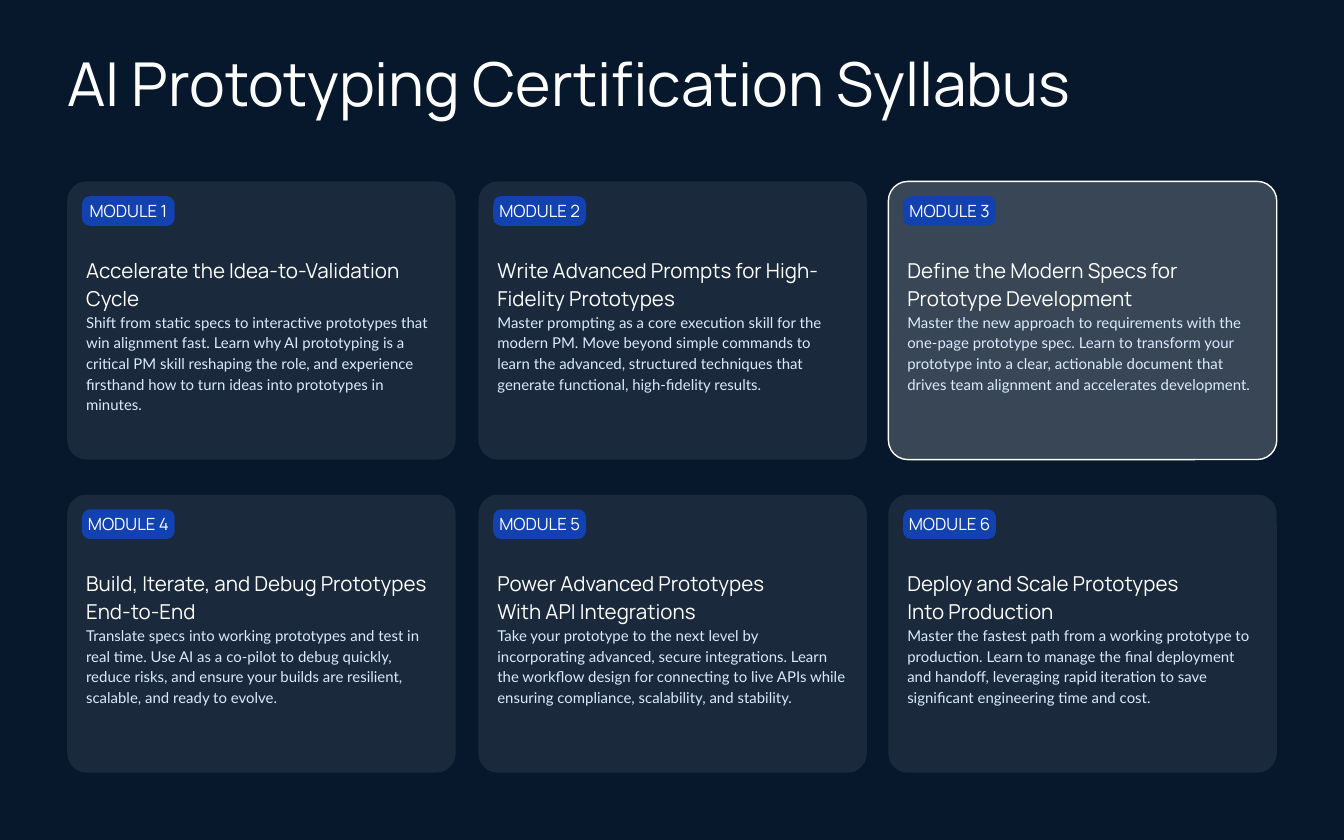
import copy

import pptx
import pptx.dml.color
import pptx.enum.shapes
import pptx.enum.text
import pptx.oxml.ns
import pptx.oxml.xmlchemy
import pptx.util
from lxml import etree

PX = 9144  # EMU in one px: 100 px to the inch
RGBColor = pptx.dml.color.RGBColor
NAVY = RGBColor(0x07, 0x18, 0x2C)
WHITE = RGBColor(0xFF, 0xFF, 0xFF)
BLUE = RGBColor(0x12, 0x41, 0xB0)
PALE_BLUE = RGBColor(0xDB, 0xEA, 0xFE)

COLUMNS = 3
CARD_WIDTH, CARD_HEIGHT = 289, 207
ACTIVE_MODULE = 3

# A vertical tab is a line break inside a heading
MODULES = [
    ("Accelerate the Idea-to-Validation Cycle",
     "Shift from static specs to interactive prototypes that win alignment fast. "
     "Learn why AI prototyping is a critical PM skill reshaping the role, and "
     "experience firsthand how to turn ideas into prototypes in minutes."),
    ("Write Advanced Prompts for High-Fidelity Prototypes",
     "Master prompting as a core execution skill for the modern PM. Move beyond "
     "simple commands to learn the advanced, structured techniques that generate "
     "functional, high-fidelity results."),
    ("Define the Modern Specs for Prototype Development",
     "Master the new approach to requirements with the one-page prototype spec. "
     "Learn to transform your prototype into a clear, actionable document that "
     "drives team alignment and accelerates development."),
    ("Build, Iterate, and Debug Prototypes End-to-End",
     "Translate specs into working prototypes and test in real time. Use AI as a "
     "co-pilot to debug quickly, reduce risks, and ensure your builds are "
     "resilient, scalable, and ready to evolve."),
    ("Power Advanced Prototypes\vWith API Integrations",
     "Take your prototype to the next level by incorporating advanced, secure "
     "integrations. Learn the workflow design for connecting to live APIs while "
     "ensuring compliance, scalability, and stability."),
    ("Deploy and Scale Prototypes\vInto Production",
     "Master the fastest path from a working prototype to production. Learn to "
     "manage the final deployment and handoff, leveraging rapid iteration to save "
     "significant engineering time and cost."),
]


def px(*lengths):
    return [pptx.util.Emu(length * PX) for length in lengths]


def set_frame(frame, insets, anchor):
    frame.word_wrap = True
    frame.vertical_anchor = anchor
    (frame.margin_left, frame.margin_top,
     frame.margin_right, frame.margin_bottom) = px(*insets)


def write(para, text, font, size, color, spacing=1.0,
          align=pptx.enum.text.PP_ALIGN.LEFT):
    para.text = text
    para.alignment = align
    para.line_spacing = spacing
    for span in para.runs:
        span.font.name = font
        span.font.size = pptx.util.Pt(size)
        span.font.color.rgb = color
    # Line breaks take the size of the text around them
    for line_break in para._p.findall(pptx.oxml.ns.qn("a:br")):
        line_break.append(copy.deepcopy(para.runs[0]._r.rPr))


def add_round_box(page, box, radius, color, opacity=100):
    shape = page.shapes.add_shape(
        pptx.enum.shapes.MSO_SHAPE.ROUNDED_RECTANGLE, *px(*box))
    shape.adjustments[0] = radius
    shape.shadow.inherit = False
    shape.fill.solid()
    shape.fill.fore_color.rgb = color
    shape.line.fill.background()
    if opacity < 100:
        fill_color = shape.fill._xPr.find(".//" + pptx.oxml.ns.qn("a:srgbClr"))
        etree.SubElement(fill_color, pptx.oxml.ns.qn("a:alpha"),
                         val=str(opacity * 1000))
    return shape


def add_title(page, box, text):
    title = page.shapes.add_textbox(*px(*box))
    set_frame(title.text_frame, (0, 0, 0, 0), pptx.enum.text.MSO_ANCHOR.MIDDLE)
    write(title.text_frame.paragraphs[0], text, "Manrope", 32.4, WHITE, 0.8)


def add_card(page, box, number, heading, summary):
    left, top = box[:2]
    active = number == ACTIVE_MODULE

    # Panel with heading and summary
    panel = add_round_box(page, box, 0.07, WHITE, 20 if active else 8)
    if active:
        panel.line.color.rgb = WHITE
        panel.line.width = pptx.util.Pt(0.75)
    frame = panel.text_frame
    set_frame(frame, (10, 50, 10, 10), pptx.enum.text.MSO_ANCHOR.TOP)
    write(frame.paragraphs[0], heading, "Manrope", 11, WHITE, 1.15)
    write(frame.add_paragraph(), summary, "Lato", 8, PALE_BLUE, 1.15)

    # Module badge
    badge = add_round_box(page, (left + 11, top + 11, 69, 22), 0.27, BLUE)
    set_frame(badge.text_frame, (0, 0, 0, 0), pptx.enum.text.MSO_ANCHOR.MIDDLE)
    write(badge.text_frame.paragraphs[0], f"MODULE {number}", "Manrope", 9,
          WHITE, align=pptx.enum.text.PP_ALIGN.CENTER)


def add_card_grid(page, box):
    left, top, width, height = box
    column_step = (width - CARD_WIDTH) / (COLUMNS - 1)
    row_step = height - CARD_HEIGHT
    for index, (heading, summary) in enumerate(MODULES):
        row, column = divmod(index, COLUMNS)
        card = (left + round(column * column_step), top + row * row_step,
                CARD_WIDTH, CARD_HEIGHT)
        add_card(page, card, index + 1, heading, summary)


def main():
    deck = pptx.Presentation()
    deck.slide_width, deck.slide_height = px(1000, 625)
    page = deck.slides.add_slide(deck.slide_layouts[6])
    page.background.fill.solid()
    page.background.fill.fore_color.rgb = NAVY

    add_title(page, (50, 50, 900, 32), "AI Prototyping Certification Syllabus")
    add_card_grid(page, (50, 135, 900, 440))

    deck.save("out.pptx")


if __name__ == "__main__":
    main()
